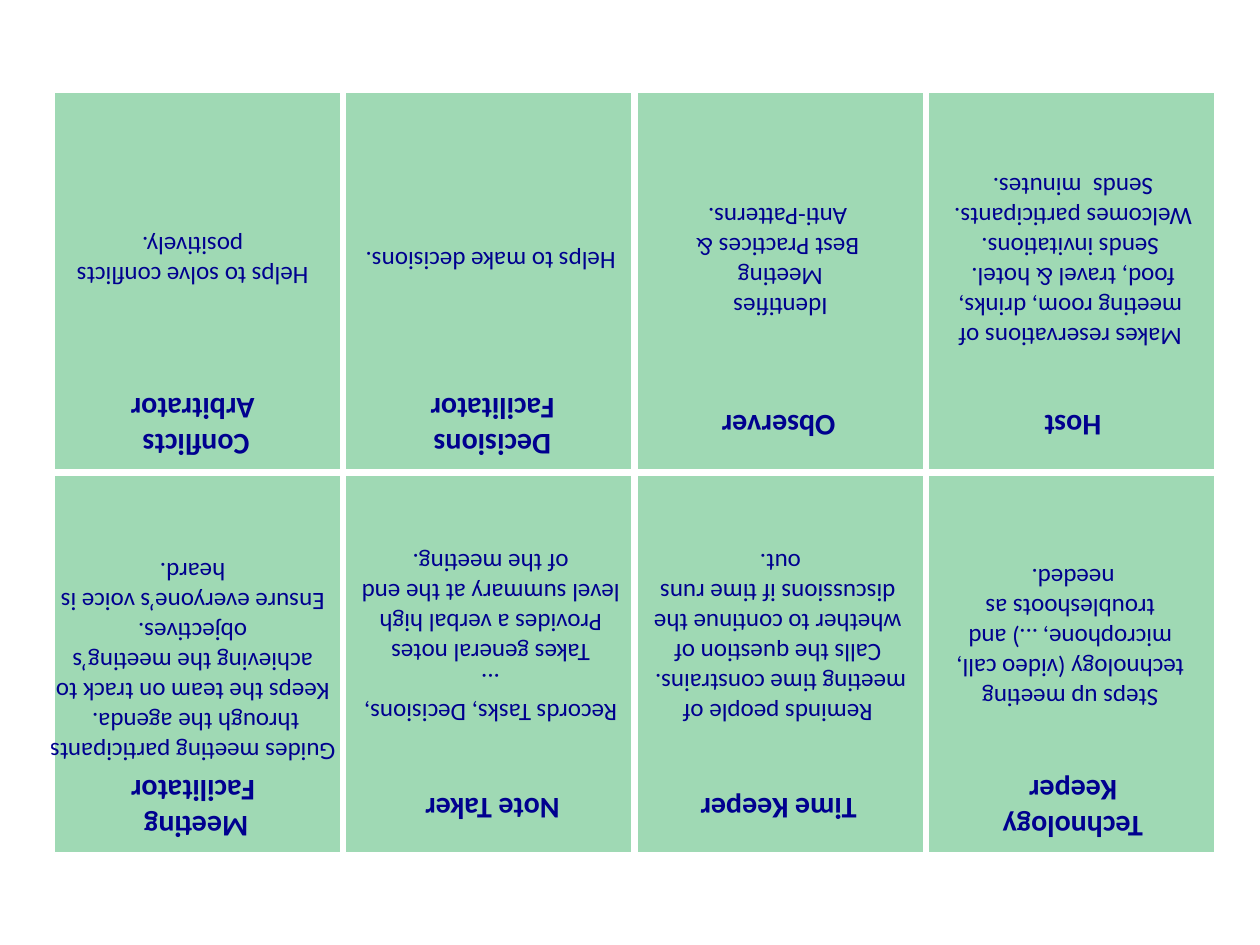
from lxml import etree
from pptx import Presentation
from pptx.dml.color import RGBColor
from pptx.enum import shapes, text
from pptx.oxml.ns import qn
from pptx.util import Inches, Pt

GREEN, NAVY, WHITE = "9FD9B4", "00008F", "FFFFFF"
PAGE_W, PAGE_H = 14, 10.5

# Each card: title paragraphs, width, lines; then body paragraphs, width, lines
ROWS = [
    [
        (["Conflicts ", "Arbitrator"], 3.23, 2,
         ["Helps to solve conflicts positively."], 3.23, 2),
        (["Decisions Facilitator"], 2.16, 2,
         ["Helps to make decisions."], 3.23, 1),
        (["Observer"], 2.16, 1,
         ["Identifies ", "Meeting ", "Best Practices & Anti-Patterns."], 2.42, 4),
        (["Host"], 2.16, 1,
         ["Makes reservations of meeting room, drinks, food, travel & hotel. ",
          "Sends invitations. Welcomes participants. ",
          "Sends  minutes. "], 2.96, 6),
    ],
    [
        (["Meeting", " Facilitator"], 3.3, 2,
         ["Guides meeting participants through the agenda. ",
          "Keeps the team on track to achieving the meeting’s objectives.",
          "Ensure everyone’s voice is heard."], 3.38, 8),
        (["Note Taker"], 2.16, 1,
         ["Records Tasks, Decisions, …", "Takes general notes",
          "Provides a verbal high level summary at the end of the meeting."], 3.23, 6),
        (["Time Keeper"], 3.15, 1,
         ["Reminds people of meeting time constrains. ",
          "Calls the question of whether to continue the discussions if time runs out. "],
         3.15, 6),
        (["Technology Keeper"], 2.44, 2,
         ["Steps up meeting technology (video call, microphone, …) "
          "and troubleshoots as needed. "], 2.96, 5),
    ],
]

# White page margins: left, top, width, height
MARGINS = [
    (0, 0, PAGE_W, 1),
    (0, 9.5, PAGE_W, 1),
    (0, 0, 0.57, PAGE_H),
    (13.52, 0, 0.48, PAGE_H),
]

# Grid and text centres
LEFT, TOP, CELL_W, CELL_H = 0.57, 1, 3.24, 4.25
TITLE_X = [[2.14, 5.47, 8.65, 11.92], [2.18, 5.47, 8.65, 11.92]]
BODY_X = [2.14, 5.45, 8.64, 11.89]
TITLE_Y = [4.75, 9]
BODY_Y = [2.91, 7.09]
MEETING_BODY_Y = 7.18  # the longest text sits a little lower


def color(value):
    return RGBColor.from_string(value)


def add_rectangle(slide, place, value):
    rectangle = slide.shapes.add_shape(shapes.MSO_SHAPE.RECTANGLE,
                                       *[Inches(length) for length in place])
    rectangle.shadow.inherit = False
    rectangle.fill.solid()
    rectangle.fill.fore_color.rgb = color(value)
    rectangle.line.fill.background()


def add_border(cell, width, value):
    properties = cell._tc.get_or_add_tcPr()
    for index, side in enumerate(("lnL", "lnR", "lnT", "lnB")):
        line = etree.Element(qn("a:" + side), w=str(Pt(width)))
        fill = etree.SubElement(line, qn("a:solidFill"))
        etree.SubElement(fill, qn("a:srgbClr"), val=value)
        properties.insert(index, line)


def add_text(slide, paragraphs, center_x, center_y, width, height, size, bold=False):
    box = slide.shapes.add_textbox(Inches(center_x - width / 2),
                                   Inches(center_y - height / 2),
                                   Inches(width), Inches(height))
    box.rotation = 180
    frame = box.text_frame
    frame.word_wrap = True
    frame.auto_size = text.MSO_AUTO_SIZE.SHAPE_TO_FIT_TEXT
    frame.text = "\n".join(paragraphs)
    for para in frame.paragraphs:
        para.alignment = text.PP_ALIGN.CENTER
        para.font.name = "Calibri"
        para.font.size = Pt(size)
        para.font.bold = bold
        para.font.color.rgb = color(NAVY)


def main():
    deck = Presentation()
    deck.slide_width, deck.slide_height = Inches(PAGE_W), Inches(PAGE_H)
    slide = deck.slides.add_slide(deck.slide_layouts[6])

    # Green backdrop under a white card grid
    add_rectangle(slide, (0, 0, PAGE_W, PAGE_H), GREEN)
    row_count, column_count = len(ROWS), len(ROWS[0])
    table = slide.shapes.add_table(
        row_count, column_count, Inches(LEFT), Inches(TOP),
        Inches(CELL_W * column_count), Inches(CELL_H * row_count)).table
    table.first_row = table.horz_banding = False
    for cell in table.iter_cells():
        cell.fill.background()
        add_border(cell, 6, WHITE)

    # Upside-down titles and descriptions
    for row, cards in enumerate(ROWS):
        for column, card in enumerate(cards):
            title, title_width, title_lines, body, body_width, body_lines = card
            add_text(slide, title, TITLE_X[row][column], TITLE_Y[row],
                     title_width, 0.08 + 0.42 * title_lines, 24, bold=True)
            body_y = MEETING_BODY_Y if title[0] == "Meeting" else BODY_Y[row]
            add_text(slide, body, BODY_X[column], body_y,
                     body_width, 0.1 + 0.34 * body_lines, 20)

    # Page margins
    for margin in MARGINS:
        add_rectangle(slide, margin, WHITE)

    deck.save("out.pptx")


if __name__ == "__main__":
    main()
